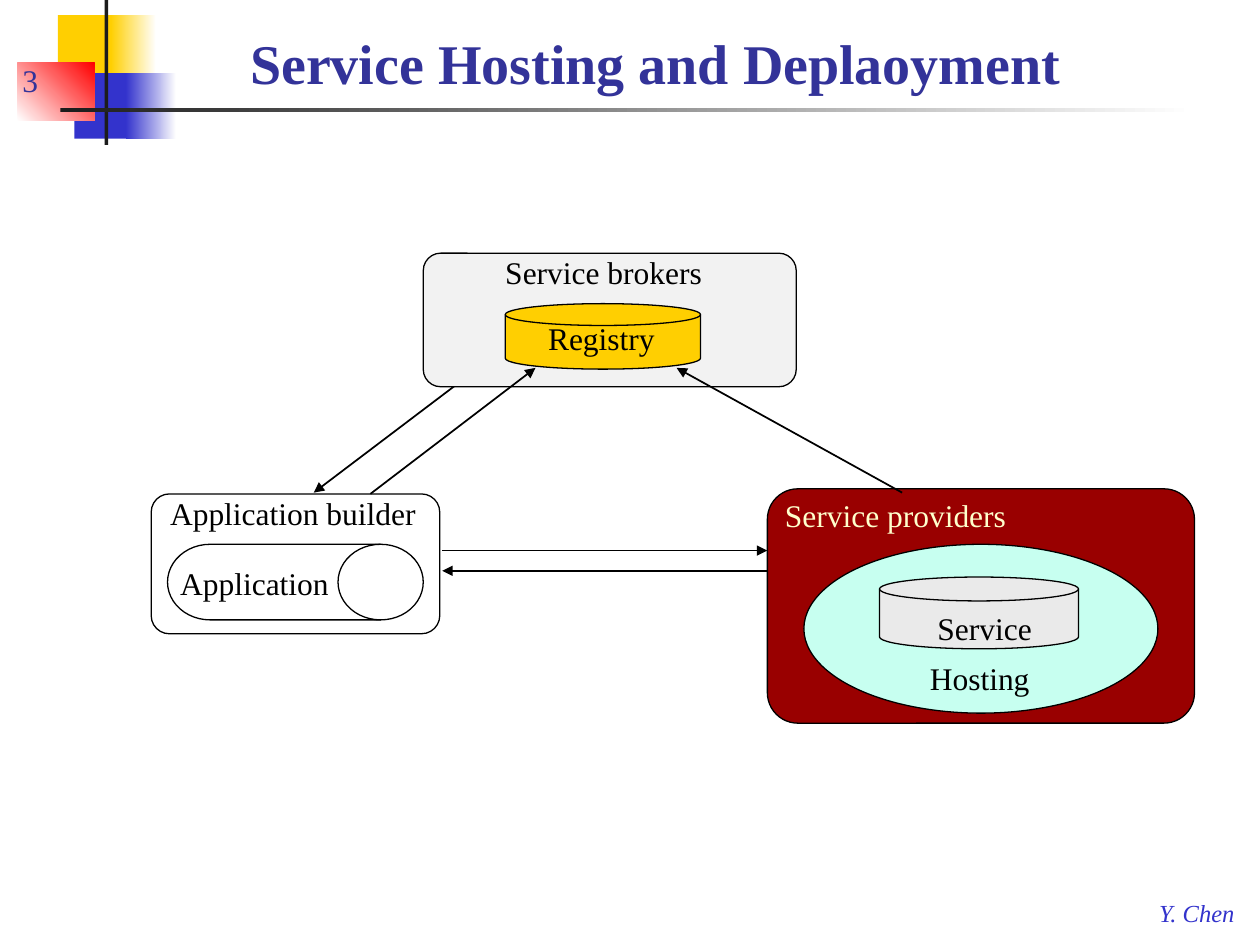
from lxml.etree import SubElement
from pptx import Presentation
from pptx.dml.color import RGBColor
from pptx.enum.shapes import MSO_CONNECTOR, MSO_SHAPE
from pptx.enum.text import MSO_ANCHOR, PP_ALIGN
from pptx.oxml.ns import qn
from pptx.util import Inches, Pt

THEME = {
    "font": "Times New Roman",
    "sizes": {"title": 32, "label": 18, "author": 14},
    "line_width": 0.75,
    "arrow_width": 1,
    "colors": {
        "gold": "FFCF01", "blue": "3333CC", "indigo": "333399", "red": "FF0000",
        "charcoal": "1C1C1C", "black": "000000", "white": "FFFFFF", "pale": "F2F2F2",
        "gray": "EAEAEA", "maroon": "990000", "cream": "FFFFCC", "mint": "C7FFF0",
    },
}

TITLE = ("Service Hosting and Deplaoyment", (1.42, 0.08, 7.57, 0.83))

DECORATIONS = [
    ((0.46, 0.12, 0.48, 0.52), ("gold",), 0),
    ((0.88, 0.12, 0.36, 0.52), ("gold", "white"), 0),
    ((0.59, 0.58, 0.46, 0.52), ("blue",), 0),
    ((1, 0.58, 0.4, 0.52), ("blue", "white"), 0),
    ((0.14, 0.5, 0.61, 0.46), ("white", "red"), 45),
    ((0.83, 0, 0.03, 1.15), ("charcoal",), 0),
    ((0.48, 0.86, 9, 0.03), ("charcoal", "white"), 0),
]

ROUNDED = MSO_SHAPE.ROUNDED_RECTANGLE
DISK = MSO_SHAPE.FLOWCHART_MAGNETIC_DISK
DRUM = MSO_SHAPE.FLOWCHART_DIRECT_ACCESS_STORAGE
NODES = [
    (ROUNDED, (3.36, 2.01, 2.96, 1.06), "pale"),
    (DISK, (4.01, 2.41, 1.55, 0.52), "gold"),
    (ROUNDED, (6.09, 3.88, 3.39, 1.86), "maroon"),
    (ROUNDED, (1.2, 3.92, 2.29, 1.11), "white"),
    (DRUM, (1.33, 4.32, 2.03, 0.6), "white"),
    (MSO_SHAPE.OVAL, (6.38, 4.32, 2.81, 1.34), "mint"),
    (DISK, (6.98, 4.58, 1.58, 0.57), "gray"),
]
CORNER_RATIO = 0.13

LABELS = [
    ("Service brokers", (4.01, 2.01, 1.58, 0.3), "black"),
    ("Registry", (4.35, 2.53, 0.86, 0.3), "black"),
    ("Service providers", (6.23, 3.94, 1.77, 0.3), "cream"),
    ("Application builder", (1.35, 3.92, 1.97, 0.3), "black"),
    ("Application", (1.43, 4.48, 1.19, 0.3), "black"),
    ("Service", (7.44, 4.83, 0.83, 0.3), "black"),
    ("Hosting", (7.38, 5.23, 0.8, 0.3), "black"),
]

BACK_ARROWS = [((3.93, 2.82), (2.49, 3.91))]
FRONT_ARROWS = [
    ((2.94, 3.92), (4.25, 2.92)),
    ((7.16, 3.91), (5.37, 2.92)),
    ((3.51, 4.37), (6.09, 4.37)),
    ((6.09, 4.53), (3.51, 4.53)),
]


def color(name):
    return RGBColor.from_string(THEME["colors"][name])


def apply(target, values):
    for name, value in values.items():
        setattr(target, name, value)


def lengths(values):
    return [Inches(value) for value in values]


def write_text(shape, text, size, color_name, frame_format=None, alignment=PP_ALIGN.LEFT, **font_format):
    frame = shape.text_frame
    frame.text = text
    apply(frame, frame_format or {})
    paragraph = frame.paragraphs[0]
    paragraph.alignment = alignment
    font = paragraph.runs[0].font
    apply(font, {"name": THEME["font"], "size": Pt(THEME["sizes"][size]), **font_format})
    font.color.rgb = color(color_name)


def add_filled(slide, kind, box, color_names, angle=0):
    shape = slide.shapes.add_shape(kind, *lengths(box))
    shape.shadow.inherit = False
    if len(color_names) == 1:
        shape.fill.solid()
        shape.fill.fore_color.rgb = color(color_names[0])
    else:
        shape.fill.gradient()
        shape.fill.gradient_angle = angle
        for stop, name in zip(shape.fill.gradient_stops, color_names):
            stop.color.rgb = color(name)
    shape.line.fill.background()
    return shape


def add_node(slide, kind, box, color_name):
    shape = add_filled(slide, kind, box, (color_name,))
    shape.line.color.rgb = color("black")
    shape.line.width = Pt(THEME["line_width"])
    if kind == ROUNDED:
        shape.adjustments[0] = CORNER_RATIO


def add_arrow(slide, start, end):
    connector = slide.shapes.add_connector(MSO_CONNECTOR.STRAIGHT, *lengths(start + end))
    connector.line.color.rgb = color("black")
    connector.line.width = Pt(THEME["arrow_width"])
    SubElement(connector.line._get_or_add_ln(), qn("a:tailEnd"), type="triangle")
    SubElement(connector._element.spPr, qn("a:effectLst"))


def add_text(slide, text, box, *style, **formats):
    write_text(slide.shapes.add_textbox(*lengths(box)), text, *style, **formats)


def main():
    presentation = Presentation()
    apply(presentation, {"slide_width": Inches(10), "slide_height": Inches(7.5)})
    slide = presentation.slides.add_slide(presentation.slide_layouts[5])

    for box, color_names, angle in DECORATIONS:
        add_filled(slide, MSO_SHAPE.RECTANGLE, box, color_names, angle)

    text, box = TITLE
    title = slide.shapes.title
    apply(title, dict(zip(("left", "top", "width", "height"), lengths(box))))
    write_text(title, text, "title", "indigo", {"vertical_anchor": MSO_ANCHOR.MIDDLE},
               PP_ALIGN.CENTER, bold=True)
    add_text(slide, "3", (0.08, 0.33, 0.79, 0.5), "label", "indigo",
             {"vertical_anchor": MSO_ANCHOR.BOTTOM, "word_wrap": True})
    add_text(slide, "Y. Chen", (9.1, 7.08, 0.82, 0.33), "author", "blue",
             {"word_wrap": False}, italic=True)

    for start, end in BACK_ARROWS:
        add_arrow(slide, start, end)
    for kind, box, color_name in NODES:
        add_node(slide, kind, box, color_name)
    for start, end in FRONT_ARROWS:
        add_arrow(slide, start, end)

    sides = ("left", "top", "right", "bottom")
    label_frame = {"word_wrap": False, **{f"margin_{side}": 0 for side in sides}}
    for text, box, color_name in LABELS:
        add_text(slide, text, box, "label", color_name, label_frame)

    presentation.save("out.pptx")


if __name__ == "__main__":
    main()
